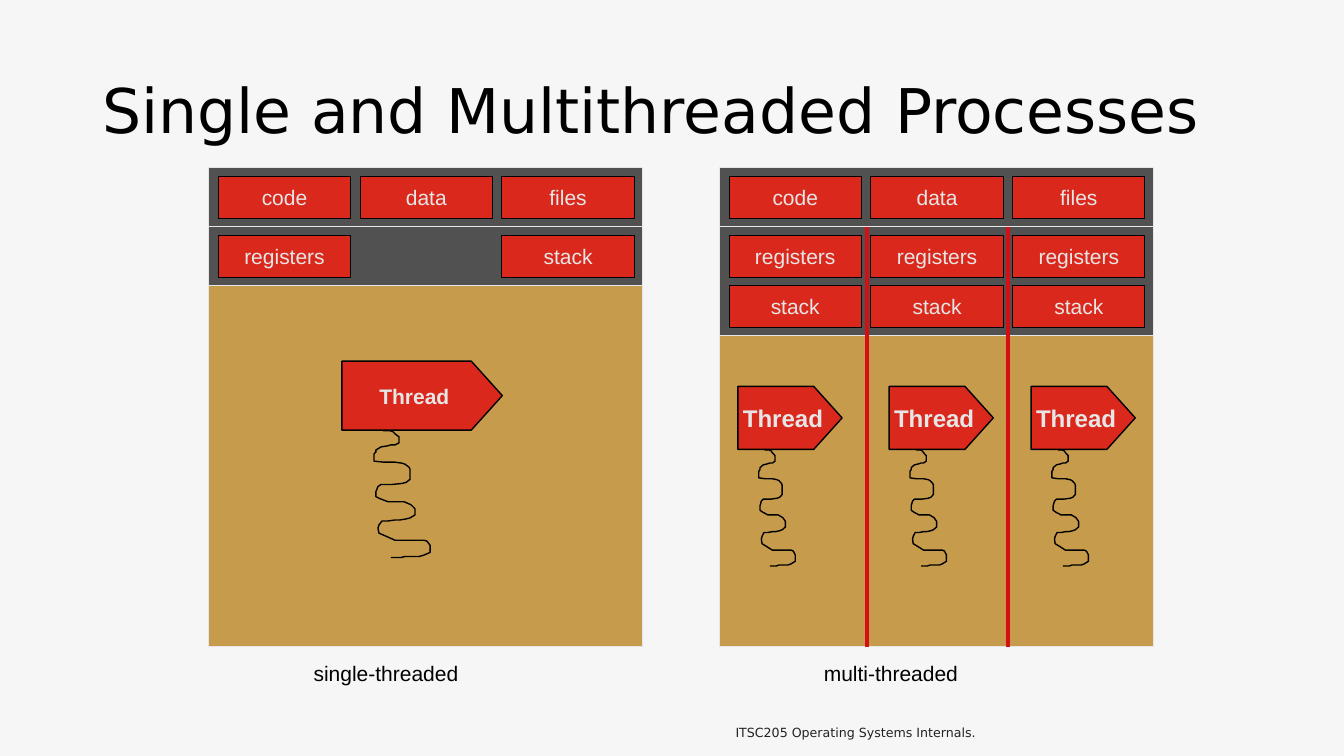
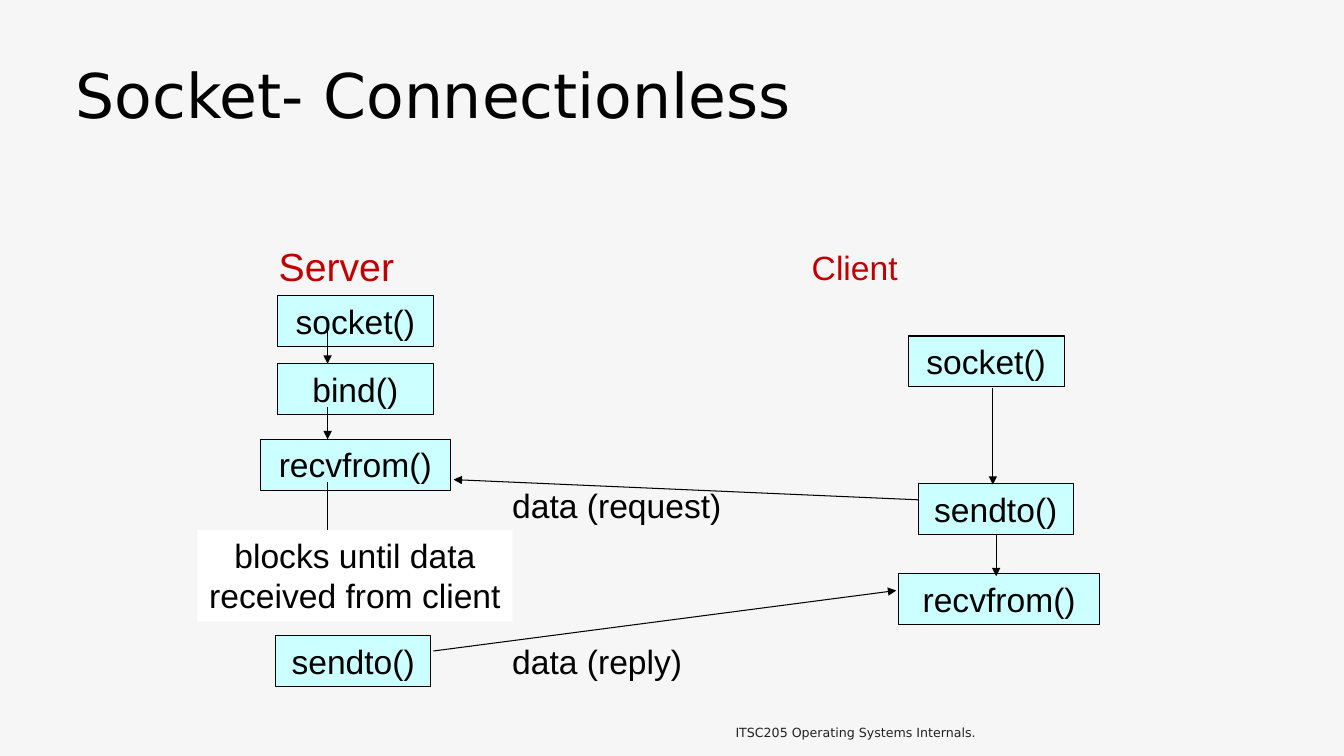
from lxml import etree
from pptx import Presentation
from pptx.dml.color import RGBColor
from pptx.enum.shapes import MSO_CONNECTOR, MSO_SHAPE
from pptx.enum.text import MSO_ANCHOR, MSO_AUTO_SIZE, PP_ALIGN
from pptx.oxml.ns import qn
from pptx.util import Emu, Pt

RECT, PLATE = MSO_SHAPE.RECTANGLE, MSO_SHAPE.PENTAGON
STRAIGHT = MSO_CONNECTOR.STRAIGHT
LEFT, CENTER = PP_ALIGN.LEFT, PP_ALIGN.CENTER
TOP, MIDDLE, BOTTOM = MSO_ANCHOR.TOP, MSO_ANCHOR.MIDDLE, MSO_ANCHOR.BOTTOM
NO_FIT = MSO_AUTO_SIZE.NONE

CELL = 76200
COLS, ROWS = 160, 90
TITLE_ONLY = 5

BODY_FONT, TITLE_FONT = "Arial", "DejaVu Sans"
BACKGROUND, BLACK, WHITE, FOOTER_INK = "F6F6F6", "000000", "FFFFFF", "222222"
RED, PALE, GRAY, TAN, DIVIDER = "DA291C", "E7E6E6", "515151", "C79B4C", "D50F14"
CYAN, HEADING = "CCFFFF", "C00000"

PANEL_W, PANEL_TOP, PANEL_BOTTOM = 51.7, 20, 77
BOX_W, BOX_H, BOX_STEP, BOX_INSET, ROW_STEP = 15.75, 5, 16.88, 1.15, 6
CALL_H = 6.05

SQUIGGLE_W, SQUIGGLE_H = 56, 125
SQUIGGLE = [
    (9, 0), (12, 0), (16, 0), (19, 1), (21, 3), (25, 6), (25, 9), (25, 12),
    (21, 14), (17, 14), (13, 15), (7, 16), (2, 19), (2, 21), (0, 23), (0, 27),
    (0, 30), (10, 31), (15, 31), (21, 31), (28, 32), (31, 33), (35, 36),
    (36, 38), (36, 48), (32, 51), (28, 52), (18, 53), (7, 53), (4, 55),
    (2, 60), (2, 65), (6, 67), (14, 70), (30, 70), (37, 73), (39, 75),
    (41, 77), (41, 83), (36, 86), (32, 87), (26, 88), (21, 88), (14, 89),
    (8, 89), (5, 93), (4, 96), (5, 101), (12, 104), (21, 108), (42, 108),
    (50, 108), (53, 109), (56, 113), (56, 120), (49, 123), (45, 124),
    (31, 124), (27, 125), (17, 125),
]


def color(hex_code):
    """Turn a hex string into a colour."""
    return RGBColor.from_string(hex_code)


def cells(*values):
    """Turn grid cells into lengths."""
    return [Emu(round(v * CELL)) for v in values]


def write(tf, text, size=15, ink=BLACK, font=BODY_FONT, bold=False,
          align=CENTER, anchor=TOP, wrap=True, spacing=None):
    """Put formatted text into a text frame."""
    tf.auto_size, tf.word_wrap, tf.vertical_anchor = NO_FIT, wrap, anchor
    p = tf.paragraphs[0]
    p.text, p.alignment = text, align
    if spacing:
        p.line_spacing = spacing
    for r in p.runs:
        r.font.size, r.font.name, r.font.bold = Pt(size), font, bold
        r.font.color.rgb = color(ink)


def label(s, x, y, w, h, text, **fmt):
    """Add a text box."""
    write(s.shapes.add_textbox(*cells(x, y, w, h)).text_frame, text, **fmt)


def shape(s, x, y, w, h, fill, kind=RECT, line=BLACK, width=0.75, text="", **fmt):
    """Add a filled preset shape, with text if given."""
    sp = s.shapes.add_shape(kind, *cells(x, y, w, h))
    sp.shadow.inherit = False
    sp.fill.solid()
    sp.fill.fore_color.rgb = color(fill)
    if line:
        sp.line.color.rgb, sp.line.width = color(line), Pt(width)
    else:
        sp.line.fill.background()
    if text:
        write(sp.text_frame, text, **fmt)
    return sp


def line(s, x1, y1, x2, y2, ink=BLACK, width=0.75, arrow=True):
    """Add a straight line, with an arrowhead at its end by default."""
    c = s.shapes.add_connector(STRAIGHT, *cells(x1, y1, x2, y2))
    c.line.color.rgb, c.line.width = color(ink), Pt(width)
    if arrow:
        etree.SubElement(c.line._get_or_add_ln(), qn("a:tailEnd"), type="triangle")
    etree.SubElement(c._element.spPr, qn("a:effectLst"))


def box(s, left, col, y, text):
    """Add a red resource box in one of a panel's three columns."""
    shape(s, left + BOX_INSET + col * BOX_STEP, y, BOX_W, BOX_H, RED,
          text=text, ink=PALE, anchor=MIDDLE, wrap=False)


def thread(s, x, y, w, h, size):
    """Add a thread plate with its squiggle below."""
    plate = shape(s, x, y, w, h, RED, PLATE, width=1, text="Thread", size=size,
                  ink=PALE, bold=True, anchor=MIDDLE, wrap=False)
    plate.adjustments[0] = 0.45
    scale = (0.35 * w * CELL / SQUIGGLE_W, 1.84 * h * CELL / SQUIGGLE_H)
    builder = s.shapes.build_freeform(*SQUIGGLE[0], scale=scale)
    builder.add_line_segments(SQUIGGLE[1:], close=False)
    sp = builder.convert_to_shape(*cells(x + 0.2 * w, y + 1.01 * h))
    sp.shadow.inherit = False
    sp.fill.background()
    sp.line.color.rgb, sp.line.width = color(BLACK), Pt(1)


def panel(s, left, bands):
    """Add a process panel: gray bands of boxes above a tan area."""
    top = PANEL_TOP
    for band in bands:
        height = len(band) * ROW_STEP + 1
        shape(s, left, top, PANEL_W, height, GRAY, line=PALE)
        for row, names in enumerate(band):
            for col, name in enumerate(names):
                if name:
                    box(s, left, col, top + 1 + row * ROW_STEP, name)
        top += height
    shape(s, left, top, PANEL_W, PANEL_BOTTOM - top, TAN, line=PALE)


def call(s, x, y, w, text):
    """Add a socket call box."""
    shape(s, x, y, w, CALL_H, CYAN, text=text, size=24)


def new_slide(prs, title, x, y):
    """Add a slide with its title and footer."""
    s = prs.slides.add_slide(prs.slide_layouts[TITLE_ONLY])
    sp = s.shapes.title
    sp.left, sp.top, sp.width, sp.height = cells(x, y, 138, 17.4)
    write(sp.text_frame, title, size=44, font=TITLE_FONT, align=LEFT,
          anchor=MIDDLE, spacing=0.9)
    label(s, 68.6, 83.9, 66.5, 4.8, "ITSC205 Operating Systems Internals.",
          size=9, ink=FOOTER_INK, font=TITLE_FONT, anchor=BOTTOM)
    return s


def threads_slide(prs):
    """Build the slide on single and multithreaded processes."""
    s = new_slide(prs, "Single and Multithreaded Processes", 11, 4.8)
    shared = [("code", "data", "files")]
    panel(s, 24.85, [shared, [("registers", "", "stack")]])
    thread(s, 40.7, 43, 19.1, 8.2, 15)
    label(s, 36.15, 78, 20, 4.3, "single-threaded", align=LEFT, wrap=False)
    panel(s, 85.65, [shared, [("registers",) * 3, ("stack",) * 3]])
    for x in (87.85, 105.85, 122.75):
        thread(s, x, 46, 12.4, 7.5, 17.2)
    label(s, 96.9, 78, 18.7, 4.3, "multi-threaded", align=LEFT, wrap=False)
    for x in (103.2, 120):
        line(s, x, 27, x, PANEL_BOTTOM, DIVIDER, 3, arrow=False)


def socket_slide(prs):
    """Build the slide on connectionless sockets."""
    s = new_slide(prs, "Socket- Connectionless", 7.8, 3)
    label(s, 31.9, 28.3, 16.3, 6.8, "Server", size=28, ink=HEADING, wrap=False)
    label(s, 91, 28.8, 21.5, 6, "Client", size=24, ink=HEADING)
    for x, y, w, text in (
        (33, 35.2, 18.6, "socket()"), (33, 43.3, 18.6, "bind()"),
        (31, 52.3, 22.6, "recvfrom()"), (32.8, 75.7, 18.5, "sendto()"),
        (108.1, 40, 18.6, "socket()"), (109.3, 57.6, 18.5, "sendto()"),
        (107, 68.3, 23.9, "recvfrom()"),
    ):
        call(s, x, y, w, text)
    for ends in (
        (109.3, 59.5, 54, 57.1), (51.6, 77.5, 106.7, 70.3),
        (39, 39.4, 39, 43.3), (39, 48.4, 39, 52.3), (39, 57.4, 39, 66.4),
        (118.6, 63.6, 118.6, 68.6), (118.2, 46.2, 118.2, 57.7),
    ):
        line(s, *ends)
    label(s, 59.8, 57.1, 36.6, 6, "data (request)", size=24, align=LEFT)
    label(s, 59.8, 75.7, 30.4, 6, "data (reply)", size=24, align=LEFT)
    shape(s, 23.5, 63.1, 37.5, 10.9, WHITE, line=None, size=24,
          text="blocks until data\nreceived from client")


def main():
    """Build and save the presentation."""
    prs = Presentation()
    prs.slide_width, prs.slide_height = cells(COLS, ROWS)
    fill = prs.slide_master.background.fill
    fill.solid()
    fill.fore_color.rgb = color(BACKGROUND)
    threads_slide(prs)
    socket_slide(prs)
    prs.save("out.pptx")


if __name__ == "__main__":
    main()
